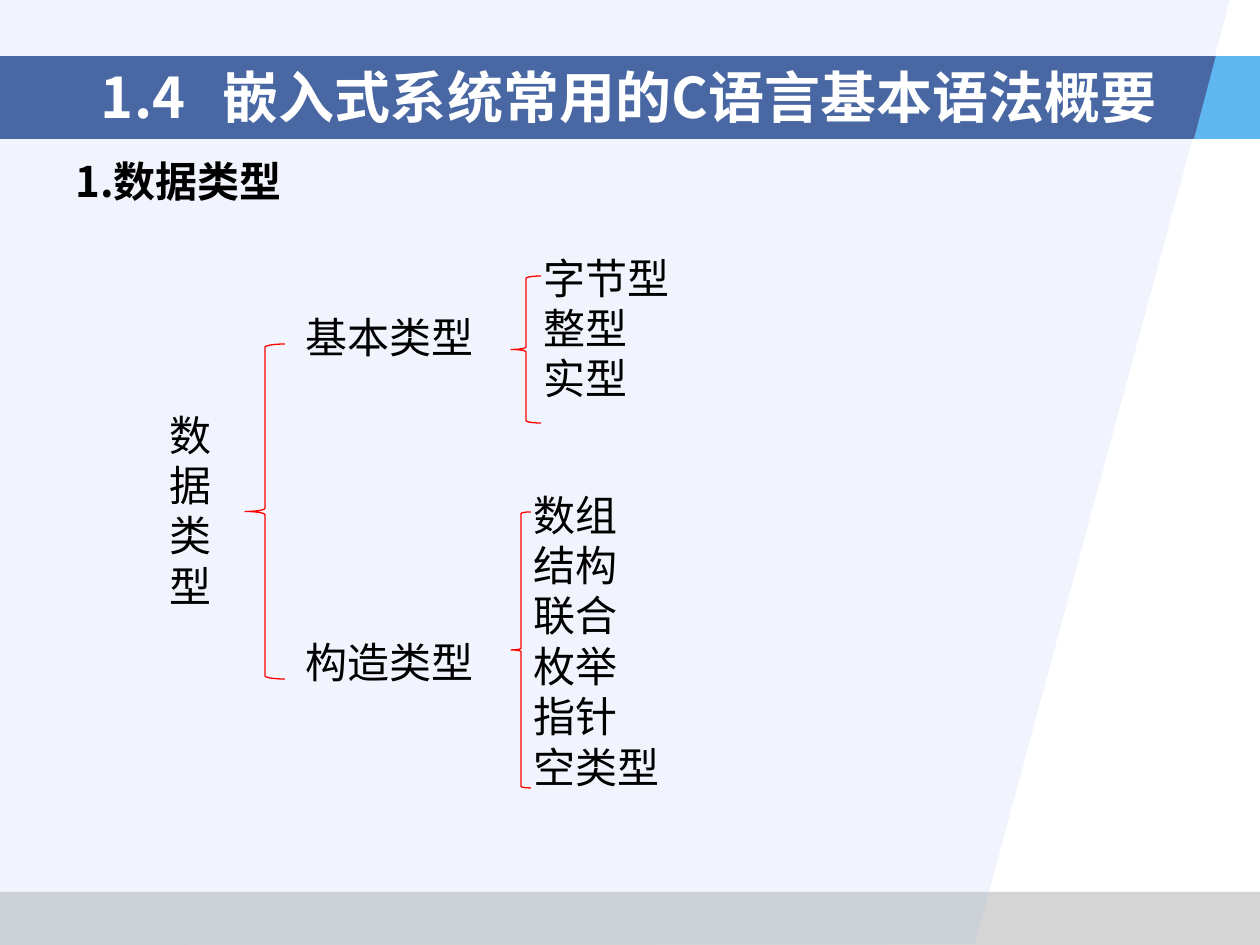
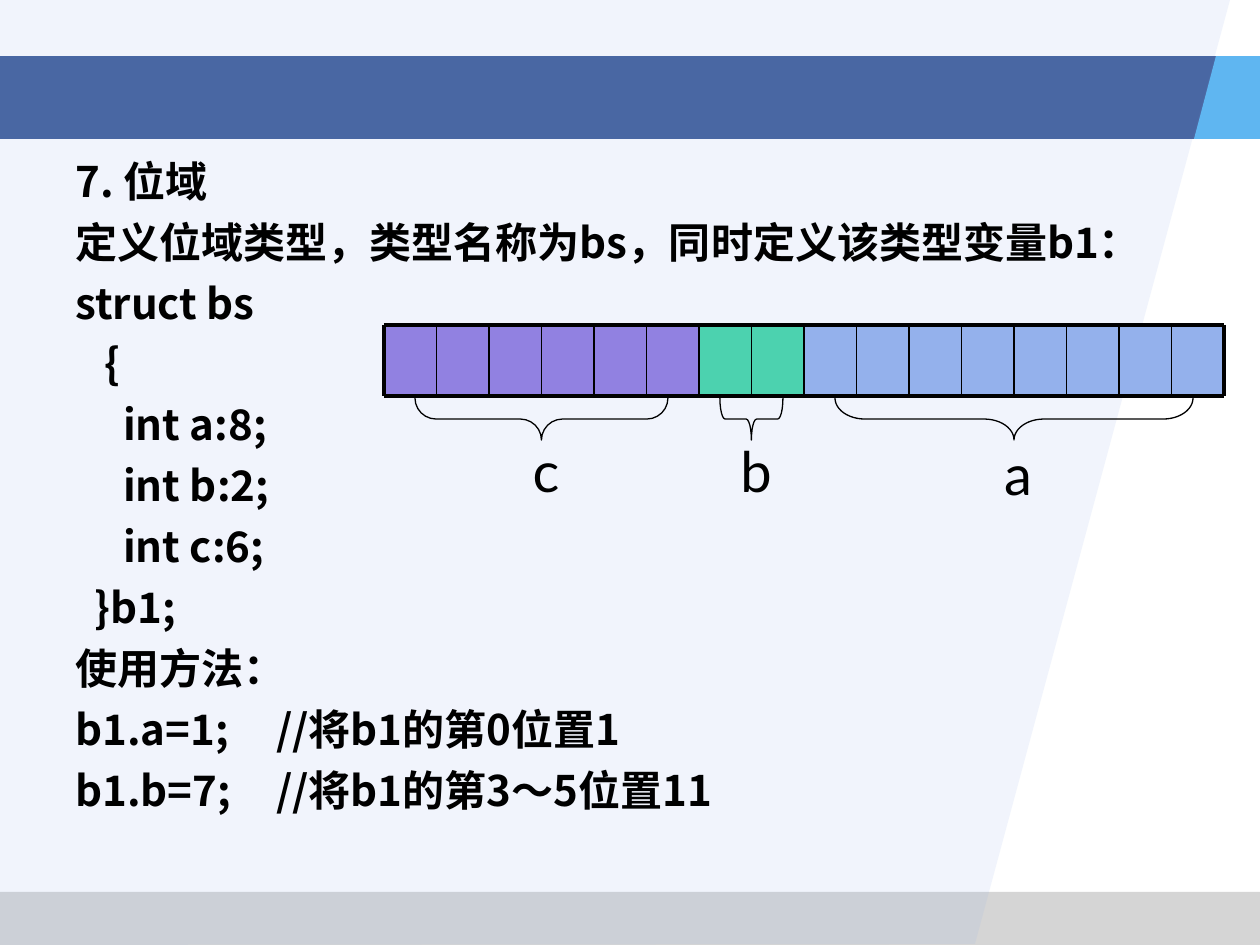
from lxml import etree
from pptx import Presentation
from pptx.dml.color import RGBColor
from pptx.enum.shapes import MSO_CONNECTOR, MSO_SHAPE
from pptx.enum.text import MSO_ANCHOR, PP_ALIGN
from pptx.oxml.ns import qn
from pptx.util import Emu, Pt

LEFT, CENTER = PP_ALIGN.LEFT, PP_ALIGN.CENTER
TOP, MIDDLE = MSO_ANCHOR.TOP, MSO_ANCHOR.MIDDLE
RECT, BRACE = MSO_SHAPE.RECTANGLE, MSO_SHAPE.LEFT_BRACE
STRAIGHT = MSO_CONNECTOR.STRAIGHT
TITLE_ONLY, BLANK = 5, 6

SCALE = 914400 / 126
WIDTH, HEIGHT = 1260, 945
SANS, LATIN = "Noto Sans CJK SC", "Lato"
COLORS = {
    "white": "FFFFFF", "black": "000000", "red": "FF0000", "grey": "969696",
    "pale": "94B1EC", "navy": "173D89", "sky": "5FB6F1",
    "green": "4CD2AF", "violet": "9181E1",
}
BITFIELD_LINES = [
    "7. 位域",
    "定义位域类型，类型名称为bs，同时定义该类型变量b1：",
    "struct bs",
    "   {",
    "     int a:8;",
    "     int b:2;",
    "     int c:6;",
    "  }b1;",
    "使用方法：",
    "b1.a=1;\t//将b1的第0位置1",
    "b1.b=7;\t//将b1的第3～5位置11",
]


def px(value):
    """Turn px into EMU."""
    return Emu(round(value * SCALE))


def box_px(*values):
    """Turn a box in px into EMU."""
    return [px(v) for v in values]


def rgb(name):
    """Look up a colour by name."""
    return RGBColor.from_string(COLORS[name])


def paint(shape, color, opacity=100):
    """Give a shape a plain fill without line or shadow."""
    shape.shadow.inherit = False
    shape.fill.solid()
    shape.fill.fore_color.rgb = rgb(color)
    shape.line.fill.background()
    if opacity < 100:
        clr = shape.element.spPr.find(qn("a:solidFill"))[0]
        etree.SubElement(clr, qn("a:alpha")).set("val", str(opacity * 1000))
    return shape


def add_rect(s, box, color, opacity=100):
    """Draw a filled rectangle."""
    return paint(s.shapes.add_shape(RECT, *box_px(*box)), color, opacity)


def add_polygon(s, points, color, opacity=100):
    """Draw a filled polygon."""
    builder = s.shapes.build_freeform(*points[0], scale=SCALE)
    builder.add_line_segments(points[1:], close=True)
    return paint(builder.convert_to_shape(), color, opacity)


def add_line(s, x1, y1, x2, y2, width):
    """Draw a straight black line."""
    line = s.shapes.add_connector(STRAIGHT, *box_px(x1, y1, x2, y2))
    line.line.color.rgb = rgb("black")
    line.line.width = Pt(width)
    etree.SubElement(line.element.spPr, qn("a:effectLst"))


def add_brace(s, box, color, curve=0.08, rotation=0):
    """Draw an open brace with a thin line."""
    sp = s.shapes.add_shape(BRACE, *box_px(*box))
    sp.shadow.inherit = False
    sp.adjustments[0] = curve
    sp.rotation = rotation
    sp.fill.background()
    sp.line.color.rgb = rgb(color)
    sp.line.width = Pt(0.75)


def write(sp, lines, size=24, font=SANS, color="black", bold=False,
          align=LEFT, anchor=TOP, gap=0, tab=None):
    """Fill a shape with formatted paragraphs."""
    tf = sp.text_frame
    tf.word_wrap = True
    tf.vertical_anchor = anchor
    for i, line in enumerate(lines):
        p = tf.add_paragraph() if i else tf.paragraphs[0]
        p.alignment = align
        p.space_before = Pt(gap if i else 0)
        if tab and "\t" in line:
            tabs = etree.SubElement(p._p.get_or_add_pPr(), qn("a:tabLst"))
            etree.SubElement(tabs, qn("a:tab"), pos=str(px(tab)), algn="l")
        r = p.add_run()
        r.text = line
        r.font.size = Pt(size)
        r.font.bold = bold
        r.font.color.rgb = rgb(color)
        r.font.name = font
        etree.SubElement(r.font._element, qn("a:ea"), typeface=SANS)


def add_text(s, box, lines, **fmt):
    """Add a text box."""
    write(s.shapes.add_textbox(*box_px(*box)), lines, **fmt)


def add_backdrop(prs, s):
    """Draw the shared bands once and move them to the slide master."""
    band_top, band_bottom = 56, 139
    shapes = [
        add_rect(s, (0, 892, WIDTH, 53), "grey", 40),
        add_polygon(s, [(0, 0), (1230, 0), (975, 944), (0, HEIGHT)], "pale", 13),
        add_rect(s, (0, band_top, WIDTH, band_bottom - band_top), "navy", 77),
        add_polygon(s, [(1216, band_top), (1194, band_bottom),
                        (WIDTH, band_bottom), (WIDTH, band_top)], "sky"),
    ]
    for i, shape in enumerate(shapes):
        shape.element[0][0].set("id", str(100 + i))
        prs.slide_master.shapes.element.append(shape.element)


def set_title(s, text):
    """Place and format the title on the band."""
    title = s.shapes.title
    title.left, title.top, title.width, title.height = box_px(73, 57, 1134, 78)
    title.text_frame.margin_left = px(28)
    title.text_frame.margin_right = 0
    write(title, [text], size=32, color="white", bold=True, anchor=MIDDLE, tab=122)


def add_type_tree(s, left, top):
    """Draw the tree of data types with its braces."""
    labels = [
        ((0, 157, 84, 214), ["数据类型"], SANS),
        ((136, 59, 242, 63), ["基本类型"], SANS),
        ((136, 384, 242, 63), ["构造类型"], SANS),
        ((374, 0, 210, 164), ["字节型", "整型", "实型"], SANS),
        ((364, 237, 199, 315),
         ["数组", "结构", "联合", "枚举", "指针", "空类型"], LATIN),
    ]
    braces = [(88, 98, 40, 335), (354, 30, 30, 147), (354, 266, 20, 276)]
    for (x, y, w, h), lines, font in labels:
        add_text(s, (left + x, top + y, w, h), lines, font=font)
    for x, y, w, h in braces:
        add_brace(s, (left + x, top + y, w, h), "red")


def add_bit_layout(s, left, top, width, height):
    """Draw the 16 bits with a brace and a label for each field."""
    fields = [("c", 6, "violet", 31, 115, 105), ("b", 2, "green", 21, 325, 105),
              ("a", 8, "pale", 31, 587, 108)]
    bits = sum(field[1] for field in fields)
    edges = [left + width * i / bits for i in range(bits + 1)]
    depth = 42
    first = 0
    for name, count, color, inset, label_x, label_y in fields:
        for x in edges[first:first + count]:
            add_rect(s, (x, top, width / bits, height), color)
        start, end = edges[first], edges[first + count]
        span = end - start - 2 * inset
        middle = (start + end) / 2
        brace_middle = top + height + 2 + depth / 2
        add_brace(s, (middle - depth / 2, brace_middle - span / 2, depth, span),
                  "black", curve=span / 12 / depth, rotation=270)
        add_text(s, (left + label_x, top + label_y, 94, 81), [name],
                 size=32, font=LATIN, align=CENTER)
        first += count
    for y in (top, top + height):
        add_line(s, left, y, left + width, y, 2.25)
    for x in edges:
        outer = x in (edges[0], edges[-1])
        add_line(s, x, top, x, top + height, 2.25 if outer else 1)


def build_types_slide(prs):
    """Build the slide on data types."""
    s = prs.slides.add_slide(prs.slide_layouts[TITLE_ONLY])
    add_backdrop(prs, s)
    set_title(s, "1.4\t嵌入式系统常用的C语言基本语法概要")
    add_text(s, (63, 149, 1134, 723), ["1.数据类型"], bold=True)
    add_type_tree(s, 157, 246)


def build_bitfield_slide(prs):
    """Build the slide on bit fields."""
    s = prs.slides.add_slide(prs.slide_layouts[BLANK])
    add_text(s, (63, 149, 1168, 723), BITFIELD_LINES, bold=True, gap=6, tab=201)
    add_bit_layout(s, 384, 325, 840, 71)


def main():
    """Build and save the presentation."""
    prs = Presentation()
    prs.slide_width, prs.slide_height = box_px(WIDTH, HEIGHT)
    build_types_slide(prs)
    build_bitfield_slide(prs)
    prs.save("out.pptx")


if __name__ == "__main__":
    main()
